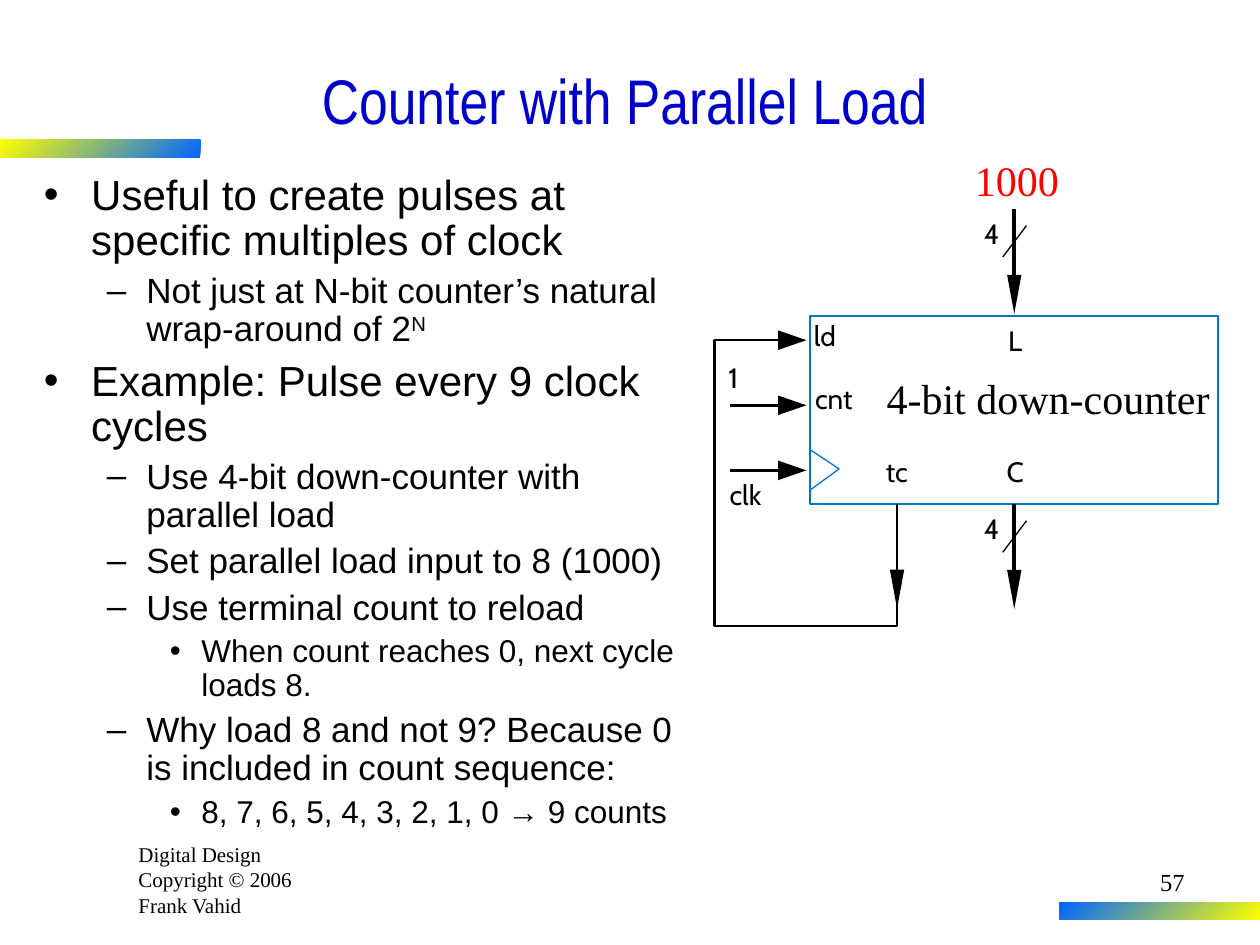
"""Build the slide on a counter with parallel load."""
from lxml import etree
from pptx import Presentation
from pptx.dml.color import RGBColor
from pptx.enum.shapes import MSO_CONNECTOR, MSO_SHAPE
from pptx.enum.text import MSO_ANCHOR, PP_ALIGN
from pptx.oxml.ns import qn
from pptx.util import Pt

STRAIGHT = MSO_CONNECTOR.STRAIGHT
RECTANGLE = MSO_SHAPE.RECTANGLE
MIDDLE, TOP = MSO_ANCHOR.MIDDLE, MSO_ANCHOR.TOP
LEFT, CENTER, RIGHT = PP_ALIGN.LEFT, PP_ALIGN.CENTER, PP_ALIGN.RIGHT

COLORS = {"ink": "000000", "title": "0000CC", "value": "FF0000",
          "block": "0078C1", "blue": "0066FF", "yellow": "FFFF00"}
SERIF, SANS, NARROW, LABEL = "Times New Roman", "Arial", "Arial Narrow", "Cabin"

TITLE = "Counter with Parallel Load"
FOOTER = ["Digital Design", "Copyright © 2006", "Frank Vahid"]
BULLETS = [
    (0, "Useful to create pulses at specific multiples of clock", ""),
    (1, "Not just at N-bit counter’s natural wrap-around of 2", "N"),
    (0, "Example: Pulse every 9 clock cycles", ""),
    (1, "Use 4-bit down-counter with parallel load", ""),
    (1, "Set parallel load input to 8 (1000)", ""),
    (1, "Use terminal count to reload", ""),
    (2, "When count reaches 0, next cycle loads 8.", ""),
    (1, "Why load 8 and not 9? Because 0 is included in count sequence:", ""),
    (2, "8, 7, 6, 5, 4, 3, 2, 1, 0 → 9 counts", ""),
]
# level: (size, left margin, hanging indent, bullet)
LEVELS = [(24, 27, 27, "•"), (20, 58.5, 22.5, "–"), (18, 90, 18, "•")]
BARS = [((0, 80), ("blue", "yellow")), ((605.5, 515.5), ("yellow", "blue"))]
BAR_SIZE = (114.5, 10.1)

BLOCK = (463, 180.7, 233.2, 107.6)
BLOCK_CENTER = BLOCK[0] + BLOCK[2] / 2
BLOCK_BOTTOM = BLOCK[1] + BLOCK[3]
LOAD_Y, COUNT_Y, CLOCK_Y = (194.4 + 37.2 * row for row in range(3))
INPUT_START, INPUT_END, INPUT_TIP = 416.9, 450.7, 460.8
CARRY_X, CARRY_TIP = 512.6, 347.8
BUS_STARTS = (119.6, BLOCK_BOTTOM)
FEEDBACK = [(INPUT_END, LOAD_Y), (408.2, LOAD_Y), (408.2, 357.8),
            (CARRY_X, 357.8), (CARRY_X, BLOCK_BOTTOM)]
CLOCK_MARK = [(463, 280), (479.5, 268), (463, 257)]
LABELS = [("ld", 465.1, 182.2, 13.7), ("cnt", 465.8, 218.2, 21.6),
          ("tc", 506.2, 259.9, 13.3), ("C", 575.3, 259.9, 10.1),
          ("L", 576, 185, 8.6), ("1", 416.2, 205.9, 9.4),
          ("clk", 416.9, 272.9, 20.2)]


def rgb(name):
    return RGBColor.from_string(COLORS[name])


def style(paragraph, size, face, color="ink", align=LEFT):
    paragraph.alignment = align
    for span in paragraph.runs:
        span.font.size = Pt(size)
        span.font.name = face
        span.font.color.rgb = rgb(color)


def set_frame(frame, wrap=True, insets=(7.2, 3.6), anchor=TOP):
    frame.word_wrap = wrap
    frame.vertical_anchor = anchor
    frame.margin_left = frame.margin_right = Pt(insets[0])
    frame.margin_top = frame.margin_bottom = Pt(insets[1])


def add_text(slide, lines, area, size, face=SERIF, color="ink", align=LEFT, **frame_options):
    frame = slide.shapes.add_textbox(*map(Pt, area)).text_frame
    set_frame(frame, **frame_options)
    frame.text = "\n".join(lines)
    for paragraph in frame.paragraphs:
        style(paragraph, size, face, color, align)


def add_label(slide, text, left, top, width):
    add_text(slide, [text], (left, top, width, 19.4), 16, LABEL, wrap=False, insets=(0, 0))


def add_line(slide, start, end, width):
    line = slide.shapes.add_connector(STRAIGHT, *map(Pt, start + end))
    line.line.color.rgb = rgb("ink")
    line.line.width = Pt(width)
    etree.SubElement(line._element.spPr, qn("a:effectLst"))
    return line


def add_outline(slide, points, close=False, width=0, color="ink"):
    corners = [(Pt(x), Pt(y)) for x, y in points]
    builder = slide.shapes.build_freeform(*corners[0])
    builder.add_line_segments(corners[1:], close=close)
    shape = builder.convert_to_shape()
    shape.shadow.inherit = False
    if close:
        shape.fill.solid()
        shape.fill.fore_color.rgb = rgb(color)
        shape.line.fill.background()
    else:
        shape.fill.background()
        shape.line.color.rgb = rgb(color)
        shape.line.width = Pt(width)


def add_head_down(slide, x, y):
    add_outline(slide, [(x, y), (x + 4.1, y - 22.3), (x - 4.1, y - 22.3)], close=True)


def add_head_right(slide, x, y):
    add_outline(slide, [(x, y), (x - 16.2, y - 5.6), (x - 16.2, y + 5.6)], close=True)


def add_bars(slide):
    for corner, colors in BARS:
        bar = slide.shapes.add_shape(RECTANGLE, *map(Pt, corner + BAR_SIZE))
        bar.shadow.inherit = False
        bar.line.fill.background()
        bar.fill.gradient()
        bar.fill.gradient_angle = 135
        for stop, color in zip(bar.fill.gradient_stops, colors):
            stop.color.rgb = rgb(color)


def add_title(slide):
    title = slide.shapes.title
    title.left, title.top, title.width, title.height = map(Pt, (18, 24, 678, 66))
    set_frame(title.text_frame, anchor=MIDDLE)
    title.text_frame.text = TITLE
    style(title.text_frame.paragraphs[0], 36, NARROW, "title", CENTER)


def add_bullets(slide):
    frame = slide.shapes.add_textbox(*map(Pt, (18, 96, 383, 384))).text_frame
    set_frame(frame)
    for index, (level, text, exponent) in enumerate(BULLETS):
        size, margin, hanging, mark = LEVELS[level]
        paragraph = frame.add_paragraph() if index else frame.paragraphs[0]
        paragraph.text = text
        paragraph.level = level
        properties = paragraph._p.get_or_add_pPr()
        properties.set("marL", str(Pt(margin)))
        properties.set("indent", str(-Pt(hanging)))
        bullet_color = etree.SubElement(properties, qn("a:buClr"))
        etree.SubElement(bullet_color, qn("a:srgbClr"), val=COLORS["ink"])
        etree.SubElement(properties, qn("a:buFont"), typeface=SANS)
        etree.SubElement(properties, qn("a:buChar"), char=mark)
        paragraph.line_spacing = 0.9
        paragraph.space_before = Pt(size / 4 if index else 0)
        if exponent:
            span = paragraph.add_run()
            span.text = exponent
            span._r.get_or_add_rPr().set("baseline", "30000")
        style(paragraph, size, SANS)


def add_counter(slide):
    block = slide.shapes.add_shape(RECTANGLE, *map(Pt, BLOCK))
    block.shadow.inherit = False
    block.fill.background()
    block.line.color.rgb = rgb("block")
    block.line.width = Pt(1.13)
    add_outline(slide, CLOCK_MARK, width=0.75, color="block")
    add_outline(slide, FEEDBACK, width=1.5)
    for y in (LOAD_Y, COUNT_Y, CLOCK_Y):
        add_head_right(slide, INPUT_TIP, y)
    for y in (COUNT_Y, CLOCK_Y):
        add_line(slide, (INPUT_START, y), (INPUT_END, y), 1.5)
    add_head_down(slide, CARRY_X, CARRY_TIP)
    for start in BUS_STARTS:
        shaft = add_line(slide, (BLOCK_CENTER, start), (BLOCK_CENTER, start + 45.6), 2.25)
        if start == BLOCK_BOTTOM:
            shaft.begin_connect(block, 2)
        add_line(slide, (BLOCK_CENTER + 7, start + 9.3), (BLOCK_CENTER - 6.6, start + 27.3), 0.75)
        add_head_down(slide, BLOCK_CENTER, start + 59.7)
        add_label(slide, "4", 562.3, start + 4.2, 9.4)
    for label in LABELS:
        add_label(slide, *label)
    add_text(slide, ["1000"], (550, 85, 70, 36), 24, color="value")
    add_text(slide, ["4-bit down-counter"], (499.5, 209.5, 204, 36), 24)


def main():
    deck = Presentation()
    deck.slide_width, deck.slide_height = Pt(720), Pt(540)
    slide = deck.slides.add_slide(deck.slide_layouts[5])
    add_text(slide, FOOTER, (72, 477.5, 120, 50.5), 12)
    add_bars(slide)
    add_title(slide)
    add_bullets(slide)
    add_counter(slide)
    add_text(slide, ["57"], (534, 492, 150, 36), 14, align=RIGHT)
    deck.save("out.pptx")


if __name__ == "__main__":
    main()
